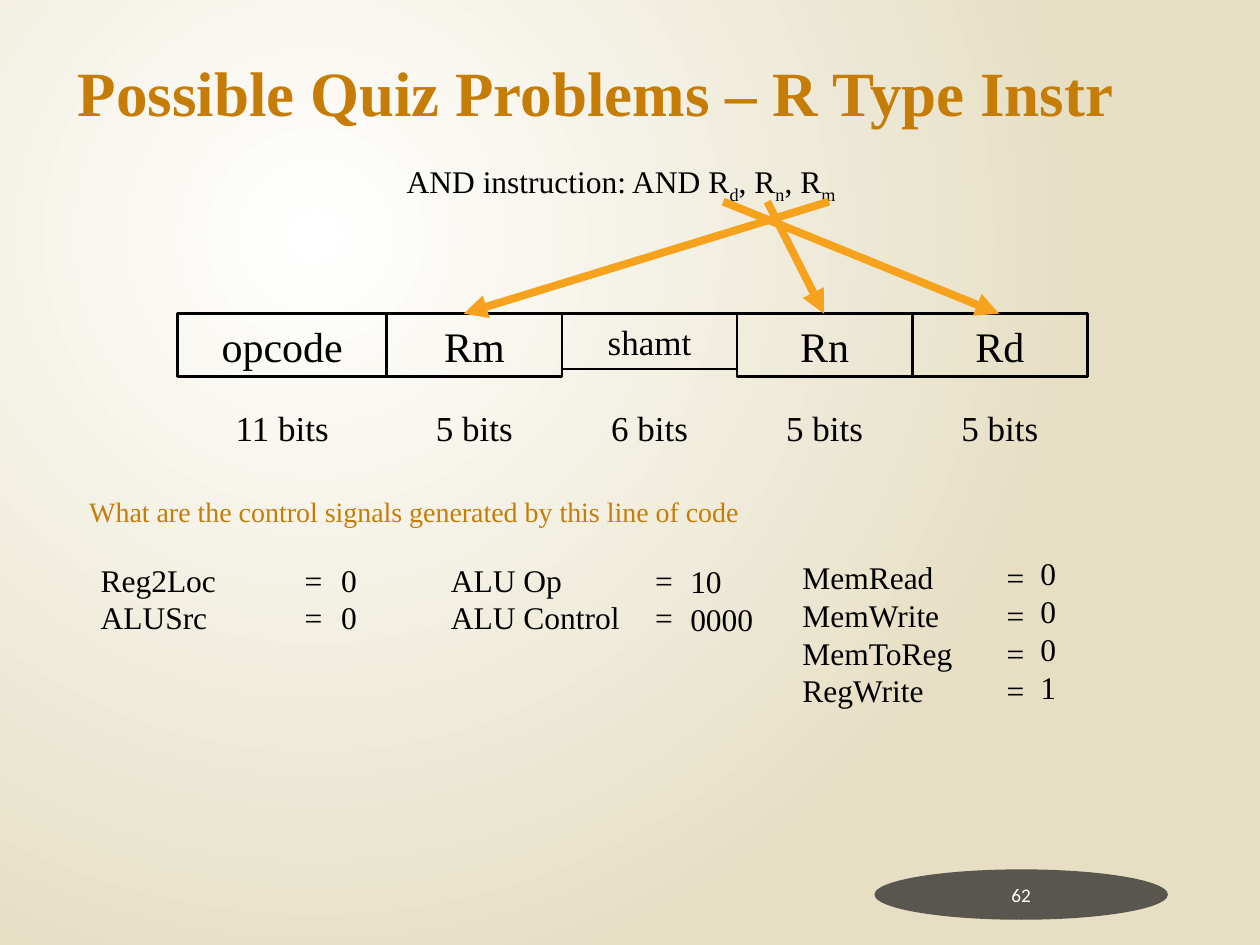
from lxml.etree import SubElement
from pptx import Presentation
from pptx.dml.color import RGBColor
from pptx.enum.shapes import MSO_CONNECTOR, MSO_SHAPE
from pptx.enum.text import MSO_ANCHOR, PP_ALIGN
from pptx.oxml.ns import qn
from pptx.util import Inches, Pt

COLUMNS, ROWS = 100, 75
CELL = Inches(0.1)
SERIF = "Times New Roman"
BLACK, GOLD, ORANGE = "000000", "C67D08", "F6A21D"
EQUALS_TAB = 16.2

# name, bits, width, height, font size, label width
FIELDS = [
    ("opcode", "11 bits", 16.6, 5, 24, 9.5),
    ("Rm", "5 bits", 13.9, 5, 24, 8.1),
    ("shamt", "6 bits", 13.9, 4.4, 20, 8.1),
    ("Rn", "5 bits", 13.9, 5, 24, 8.1),
    ("Rd", "5 bits", 13.9, 5, 24, 8.1),
]
FIELD_LEFT, FIELD_TOP, BITS_TOP = 14.1, 24.9, 31.8

# left, top, width and lines of the names, then of the values
SIGNALS = [
    ((7, 44, 19.9, ["Reg2Loc", "ALUSrc"]), (26.1, 44, 4.7, ["0", "0"])),
    ((34.8, 44, 20.1, ["ALU Op", "ALU Control"]), (53.8, 44.1, 7.8, ["10", "0000"])),
    ((62.7, 43.8, 20.5, ["MemRead", "MemWrite", "MemToReg", "RegWrite"]),
     (81.6, 43.5, 6.3, ["0", "0", "0", "1"])),
]


def grid(cells):
    return round(cells * CELL)


def colour(hex_string):
    return RGBColor.from_string(hex_string)


def style(paragraph, size, hex_string=BLACK, font=SERIF, bold=False):
    paragraph.font.size = Pt(size)
    paragraph.font.name = font
    paragraph.font.bold = bold
    paragraph.font.color.rgb = colour(hex_string)


def add_background(slide):
    """Radial gradient whose centre lies up and left of the middle."""
    fill = slide.background.fill
    fill.gradient()
    for stop, hex_string, position in zip(fill.gradient_stops, ("FFFFFF", "E6DFC4"), (0, 1)):
        stop.color.rgb = colour(hex_string)
        stop.position = position
    gradient = slide.element.find(".//" + qn("a:gradFill"))
    gradient.remove(gradient.find(qn("a:lin")))
    circle = SubElement(gradient, qn("a:path"), path="circle")
    SubElement(circle, qn("a:fillToRect"), l="50000", t="50000", r="100000", b="100000")


def add_text(slide, left, top, width, height, lines, size, hex_string=BLACK,
             bold=False, align=PP_ALIGN.LEFT, wrap=True, tab=None):
    box = slide.shapes.add_textbox(*map(grid, (left, top, width, height)))
    frame = box.text_frame
    frame.word_wrap = wrap
    frame.text = "\n".join(lines)
    for paragraph in frame.paragraphs:
        paragraph.alignment = align
        if tab:
            tabs = SubElement(paragraph._p.get_or_add_pPr(), qn("a:tabLst"))
            SubElement(tabs, qn("a:tab"), pos=str(grid(tab)), algn="l")
        style(paragraph, size, hex_string, bold=bold)
    return frame


def add_shape(slide, kind, left, top, width, height, text):
    shape = slide.shapes.add_shape(kind, *map(grid, (left, top, width, height)))
    shape.shadow.inherit = False
    frame = shape.text_frame
    frame.vertical_anchor = MSO_ANCHOR.MIDDLE
    frame.text = text
    frame.paragraphs[0].alignment = PP_ALIGN.CENTER
    return shape


def add_page_number(slide, number):
    ellipse = add_shape(slide, MSO_SHAPE.OVAL, 69.4, 69, 23.3, 4, number)
    ellipse.fill.solid()
    ellipse.fill.fore_color.rgb = colour("1D1D1D")
    solid = ellipse.element.spPr.find(qn("a:solidFill"))
    SubElement(solid[0], qn("a:alpha"), val="70000")
    ellipse.line.fill.background()
    ellipse.text_frame.margin_left = ellipse.text_frame.margin_right = Inches(0.02)
    style(ellipse.text_frame.paragraphs[0], 11, "FFFFFF", "Calibri")


def add_instruction(slide):
    frame = add_text(slide, 31.3, 12.4, 61.4, 4, ["AND instruction: AND R"], 18)
    paragraph = frame.paragraphs[0]
    for text in ("d", ", R", "n", ", R", "m"):
        run = paragraph.add_run()
        run.text = text
        if text in "dnm":
            run.font._element.set("baseline", "-25000")


def add_fields(slide):
    left = FIELD_LEFT
    for name, bits, width, height, size, label_width in FIELDS:
        box = add_shape(slide, MSO_SHAPE.RECTANGLE, left, FIELD_TOP, width, height, name)
        box.fill.background()
        box.line.color.rgb = colour(BLACK)
        box.line.width = Pt(1.5)
        style(box.text_frame.paragraphs[0], size)
        label_left = left + (width - label_width) / 2
        add_text(slide, label_left, BITS_TOP, label_width, 4.4, [bits], 20,
                 align=PP_ALIGN.CENTER, wrap=False)
        left += width


def add_arrow(slide, start, end):
    arrow = slide.shapes.add_connector(
        MSO_CONNECTOR.STRAIGHT, grid(start), grid(16), grid(end), grid(FIELD_TOP))
    arrow.line.color.rgb = colour(ORANGE)
    arrow.line.width = Pt(4.5)
    properties = arrow.element.spPr
    SubElement(properties.find(qn("a:ln")), qn("a:tailEnd"), type="triangle")
    SubElement(properties, qn("a:effectLst"))


def add_signals(slide):
    for (left, top, width, names), (value_left, value_top, value_width, values) in SIGNALS:
        height = 1.1 + 3 * len(names)
        add_text(slide, left, top, width, height, [name + "\t=" for name in names], 18,
                 tab=EQUALS_TAB)
        add_text(slide, value_left, value_top, value_width, height, values, 18)


def main():
    presentation = Presentation()
    presentation.slide_width = grid(COLUMNS)
    presentation.slide_height = grid(ROWS)
    slide = presentation.slides.add_slide(presentation.slide_layouts[6])

    add_background(slide)
    add_page_number(slide, "62")
    title = add_text(slide, 5.2, 3.1, 90.3, 8.3,
                     ["Possible Quiz Problems – R Type Instr"], 36, GOLD, bold=True)
    title.vertical_anchor = MSO_ANCHOR.MIDDLE
    add_instruction(slide)
    add_fields(slide)
    add_text(slide, 6.1, 38.8, 77.1, 3.7,
             ["What are the control signals generated by this line of code"], 16, GOLD)
    for start, end in ((57.4, 79.3), (60.9, 65.4), (65.8, 36.8)):
        add_arrow(slide, start, end)
    add_signals(slide)

    presentation.save("out.pptx")


if __name__ == "__main__":
    main()
